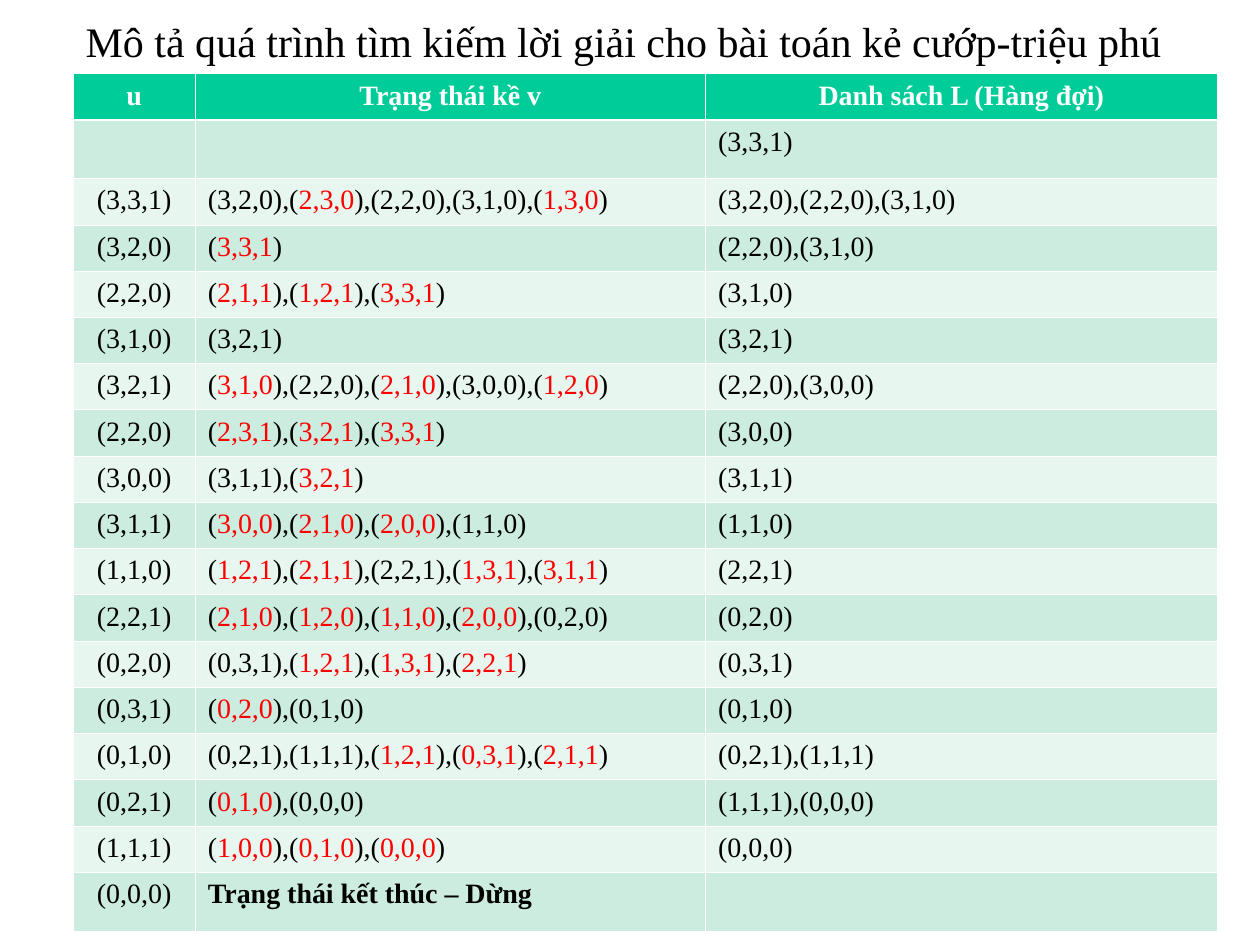
from dataclasses import dataclass

from lxml.etree import SubElement
from pptx import Presentation
from pptx.dml.color import RGBColor
from pptx.enum.text import MSO_ANCHOR, MSO_AUTO_SIZE, PP_ALIGN
from pptx.oxml.ns import qn
from pptx.util import Inches, Pt


@dataclass(frozen=True)
class Theme:
    """Colours, font and sizes of the slide."""
    font: str = "Times New Roman"
    text: str = "000000"
    visited: str = "FF0000"
    white: str = "FFFFFF"
    header: str = "00CC99"
    bands: tuple = ("E7F6EF", "CBECDE")
    title_size: float = 24
    table_size: float = 16
    rule: float = 0.45
    header_rule: float = 1.47


TITLE = "Mô tả quá trình tìm kiếm lời giải cho bài toán kẻ cướp-triệu phú"
HEADER = ("u", "Trạng thái kề v", "Danh sách L (Hàng đợi)")
STEPS = [
    ("", "", "(3,3,1)"),
    ("(3,3,1)", "(3,2,0),(*2,3,0*),(2,2,0),(3,1,0),(*1,3,0*)", "(3,2,0),(2,2,0),(3,1,0)"),
    ("(3,2,0)", "(*3,3,1*)", "(2,2,0),(3,1,0)"),
    ("(2,2,0)", "(*2,1,1*),(*1,2,1*),(*3,3,1*)", "(3,1,0)"),
    ("(3,1,0)", "(3,2,1)", "(3,2,1)"),
    ("(3,2,1)", "(*3,1,0*),(2,2,0),(*2,1,0*),(3,0,0),(*1,2,0*)", "(2,2,0),(3,0,0)"),
    ("(2,2,0)", "(*2,3,1*),(*3,2,1*),(*3,3,1*)", "(3,0,0)"),
    ("(3,0,0)", "(3,1,1),(*3,2,1*)", "(3,1,1)"),
    ("(3,1,1)", "(*3,0,0*),(*2,1,0*),(*2,0,0*),(1,1,0)", "(1,1,0)"),
    ("(1,1,0)", "(*1,2,1*),(*2,1,1*),(2,2,1),(*1,3,1*),(*3,1,1*)", "(2,2,1)"),
    ("(2,2,1)", "(*2,1,0*),(*1,2,0*),(*1,1,0*),(*2,0,0*),(0,2,0)", "(0,2,0)"),
    ("(0,2,0)", "(0,3,1),(*1,2,1*),(*1,3,1*),(*2,2,1*)", "(0,3,1)"),
    ("(0,3,1)", "(*0,2,0*),(0,1,0)", "(0,1,0)"),
    ("(0,1,0)", "(0,2,1),(1,1,1),(*1,2,1*),(*0,3,1*),(*2,1,1*)", "(0,2,1),(1,1,1)"),
    ("(0,2,1)", "(*0,1,0*),(0,0,0)", "(1,1,1),(0,0,0)"),
    ("(1,1,1)", "(*1,0,0*),(*0,1,0*),(*0,0,0*)", "(0,0,0)"),
    ("(0,0,0)", "Trạng thái kết thúc – Dừng", ""),
]


def write(tf, text, *, font, size, color, accent=None, bold=False, align=PP_ALIGN.LEFT):
    """Write text in one paragraph, with parts between asterisks in the accent colour."""
    p = tf.paragraphs[0]
    p.alignment = align
    for i, part in enumerate(text.split("*")):
        if part:
            r = p.add_run()
            r.text = part
            r.font.name = font
            r.font.size = Pt(size)
            r.font.bold = bold
            r.font.color.rgb = RGBColor.from_string(accent if i % 2 else color)


def draw_borders(cell, color, **widths):
    """Draw the sides of a cell, given as L, R, T and B widths in points."""
    tc_pr = cell._tc.get_or_add_tcPr()
    for side, width in widths.items():
        ln = SubElement(tc_pr, qn(f"a:ln{side}"), w=str(Pt(width)))
        SubElement(SubElement(ln, qn("a:solidFill")), qn("a:srgbClr"), val=color)


class Deck:
    """Holds the theme and the current slide, and places elements by inches."""

    def __init__(self, prs, theme):
        """Add a title-only slide to the presentation."""
        self.theme = theme
        self.size = prs.slide_width, prs.slide_height
        self.s = prs.slides.add_slide(prs.slide_layouts[5])

    def box(self, x, y, w, h):
        """Turn shares of the slide's size into lengths."""
        width, height = self.size
        return int(x * width), int(y * height), int(w * width), int(h * height)

    def title(self, text, *area):
        """Place and format the title placeholder."""
        sp = self.s.shapes.title
        sp.left, sp.top, sp.width, sp.height = self.box(*area)
        tf = sp.text_frame
        tf.word_wrap = True
        tf.auto_size = MSO_AUTO_SIZE.NONE
        tf.vertical_anchor = MSO_ANCHOR.TOP
        write(tf, text, font=self.theme.font, size=self.theme.title_size, color=self.theme.text)

    def table(self, rows, area, col_shares, row_shares):
        """Add a banded table whose columns and rows take shares of the area."""
        x, y, w, h = self.box(*area)
        table = self.s.shapes.add_table(len(rows), len(col_shares), x, y, w, h).table
        for column, share in zip(table.columns, col_shares):
            column.width = int(w * share / sum(col_shares))
        for row, share in zip(table.rows, row_shares):
            row.height = int(h * share / sum(row_shares))
        for i, values in enumerate(rows):
            for j, value in enumerate(values):
                self.cell(table.cell(i, j), value, i, j, len(rows) - 1)

    def cell(self, cell, text, i, j, last):
        """Fill, border and write one cell."""
        t = self.theme
        head = i == 0
        draw_borders(cell, t.white, L=t.rule, R=t.rule,
                     T=t.header_rule if i == 1 else t.rule,
                     B=t.header_rule if head else t.rule)
        cell.fill.solid()
        cell.fill.fore_color.rgb = RGBColor.from_string(t.header if head else t.bands[i % 2])
        write(cell.text_frame, text, font=t.font, size=t.table_size,
              color=t.white if head else t.text, accent=t.visited,
              bold=head or (i == last and j == 1),
              align=PP_ALIGN.CENTER if head or j == 0 else PP_ALIGN.LEFT)


def main():
    """Build the slide and save it."""
    prs = Presentation()
    prs.slide_width, prs.slide_height = Inches(10), Inches(7.5)
    deck = Deck(prs, Theme())
    left, width, split = 0.058, 0.908, 0.078
    deck.title(TITLE, left, 0.01, width, split - 0.01)
    rows = [HEADER, *STEPS]
    row_shares = [1 if all(row) else 1.27 for row in rows]
    deck.table(rows, (left, split, width, 0.908), (0.97, 4.05, 4.06), row_shares)
    prs.save("out.pptx")


if __name__ == "__main__":
    main()
